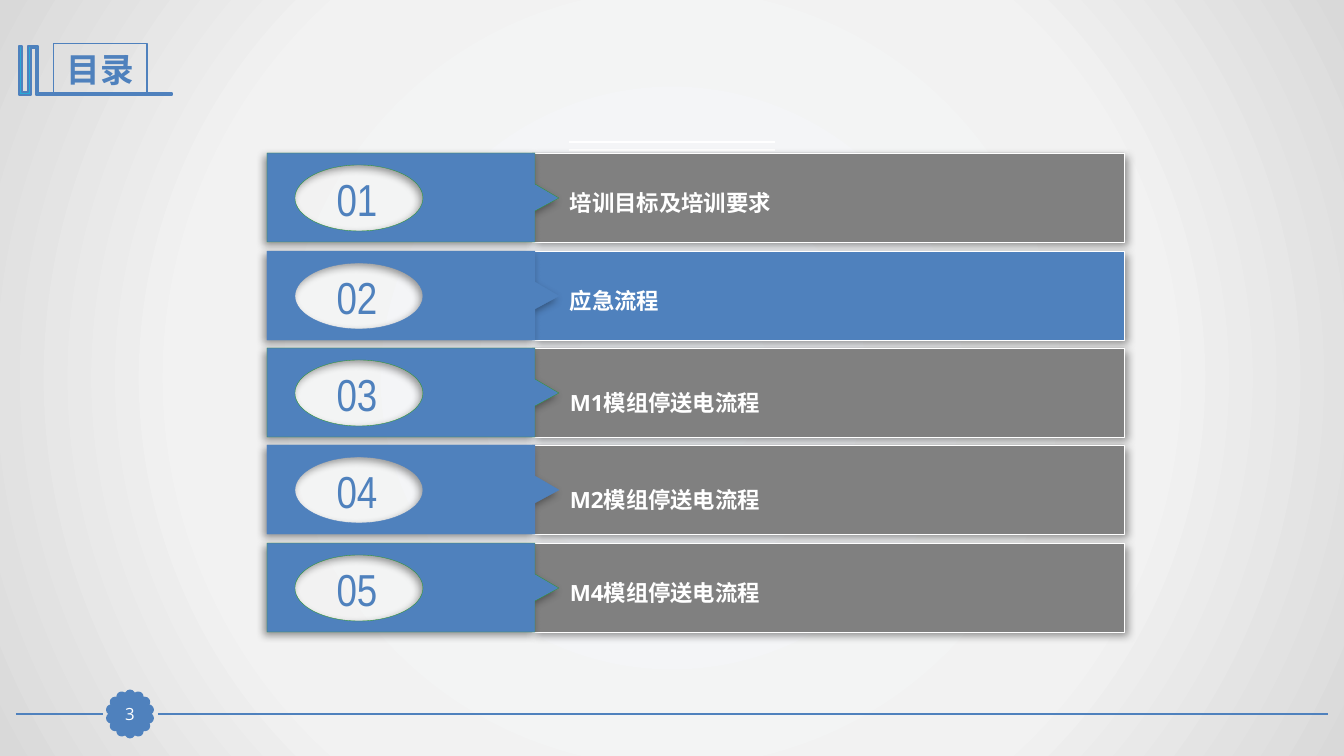
"""Build the contents slide with five numbered sections."""
from math import cos, pi, sin

from lxml import etree
from pptx import Presentation
from pptx.dml.color import RGBColor
from pptx.enum.shapes import MSO_CONNECTOR, MSO_SHAPE
from pptx.enum.text import MSO_ANCHOR, PP_ALIGN
from pptx.oxml import parse_xml
from pptx.oxml.ns import nsdecls, qn
from pptx.util import Emu, Pt

RECT, OVAL = MSO_SHAPE.RECTANGLE, MSO_SHAPE.OVAL
STRAIGHT = MSO_CONNECTOR.STRAIGHT
TOP, MIDDLE = MSO_ANCHOR.TOP, MSO_ANCHOR.MIDDLE
LEFT, CENTER = PP_ALIGN.LEFT, PP_ALIGN.CENTER
EMU_PER_PX = 914400 / 100.8
COLORS = {
    "blue": "4F81BD", "gray": "808080", "white": "FFFFFF",
    "green": "339933", "cyan": "28A9D6", "black": "000000",
    "glow": "F6F9FC", "mist": "F2F2F2", "edge": "D9D9D9",
}
NARROW, SANS = "Arial Narrow", "Open Sans"
SECTIONS = [
    ("01", "培训目标及培训要求", "gray", "green", 1.0),
    ("02", "应急流程", "blue", "blue", 1.0),
    ("03", "M1模组停送电流程", "gray", "green", 1.2),
    ("04", "M2模组停送电流程", "gray", "blue", 1.2),
    ("05", "M4模组停送电流程", "gray", "green", 1.0),
]


def px(value):
    """Turn pixels into EMU."""
    return Emu(round(value * EMU_PER_PX))


def rgb(name):
    """Look up a named colour."""
    return RGBColor.from_string(COLORS[name])


def paint(shape, fill, line, width):
    """Set fill and outline, and drop the inherited shadow."""
    shape.shadow.inherit = False
    if fill:
        shape.fill.solid()
        shape.fill.fore_color.rgb = rgb(fill)
    else:
        shape.fill.background()
    shape.line.color.rgb = rgb(line)
    shape.line.width = Pt(width)
    return shape


def add_preset(shapes, kind, box, fill, line, width):
    """Add a painted preset shape in a pixel box."""
    return paint(shapes.add_shape(kind, *map(px, box)), fill, line, width)


def add_outline(shapes, left, top, points, fill, line, width):
    """Add a painted closed freeform from points relative to a corner."""
    corners = [(px(left + x), px(top + y)) for x, y in points]
    builder = shapes.build_freeform(*corners[0])
    builder.add_line_segments(corners[1:], close=True)
    return paint(builder.convert_to_shape(), fill, line, width)


def cut_oval(shape, cx, cy, rx, ry):
    """Cut an oval hole of four Bezier arcs into a freeform."""
    outline = shape._element.find(".//" + qn("a:path"))
    k = 0.55

    def add_step(tag, points):
        """Append one drawing step in unit-circle coordinates."""
        step = etree.SubElement(outline, qn(tag))
        for x, y in points:
            etree.SubElement(step, qn("a:pt"), x=str(px(cx + rx * x)),
                             y=str(px(cy + ry * y)))

    add_step("a:moveTo", [(0, -1)])
    for x, y in ((0, -1), (-1, 0), (0, 1), (1, 0)):
        add_step("a:cubicBezTo", [(x + k * y, y - k * x),
                                  (y + k * x, -x + k * y), (y, -x)])
    add_step("a:close", [])


def add_rule(shapes, left, right, y, color, width):
    """Add a horizontal line without shadow."""
    rule = shapes.add_connector(STRAIGHT, px(left), px(y), px(right), px(y))
    rule.line.color.rgb = rgb(color)
    rule.line.width = Pt(width)
    etree.SubElement(rule._element.spPr, qn("a:effectLst"))


def cast_shadow(shape, degrees):
    """Give a shape a soft outer shadow in one direction."""
    effects = shape._element.spPr.find(qn("a:effectLst"))
    effects.append(parse_xml(
        f'<a:outerShdw {nsdecls("a")} blurRad="{Pt(6)}" dist="{Pt(3)}" '
        f'dir="{degrees * 60000}" algn="ctr" rotWithShape="0">'
        f'<a:srgbClr val="{COLORS["black"]}"><a:alpha val="40000"/></a:srgbClr>'
        '</a:outerShdw>'))


def write(shape, text, font, size, color, bold=False, align=CENTER,
          anchor=MIDDLE, spacing=None):
    """Write one paragraph with a single run."""
    frame = shape.text_frame
    frame.word_wrap = True
    frame.vertical_anchor = anchor
    paragraph = frame.paragraphs[0]
    paragraph.alignment = align
    paragraph.line_spacing = spacing
    run = paragraph.add_run()
    run.text = text
    run.font.name = font
    run.font.size = Pt(size)
    run.font.bold = bold
    run.font.color.rgb = rgb(color)
    return frame


def fill_background(slide):
    """Fill the slide with a circular gradient."""
    slide.background.fill.gradient()
    linear = slide.element.find(".//" + qn("a:gradFill"))
    stops = "".join(
        f'<a:gs pos="{percent * 1000}"><a:srgbClr val="{COLORS[name]}"/></a:gs>'
        for percent, name in ((0, "glow"), (63, "mist"), (100, "edge")))
    linear.getparent().replace(linear, parse_xml(
        f'<a:gradFill {nsdecls("a")} rotWithShape="1"><a:gsLst>{stops}</a:gsLst>'
        '<a:path path="circle"><a:fillToRect l="50000" t="50000" r="50000" '
        'b="50000"/></a:path></a:gradFill>'))


def add_heading(shapes, left, top):
    """Draw the bookmark outline and the framed heading."""
    bookmark = [(18, 0), (19, 0), (19, 47), (153, 47), (153, 49), (18, 49),
                (17, 49), (17, 2), (12, 2), (12, 49), (0, 49), (0, 0),
                (3, 0), (3, 46), (9, 46), (9, 0)]
    add_outline(shapes, left, top, bookmark, "cyan", "blue", 2)
    frame = add_preset(shapes, RECT, (left + 34, top - 2, 94, 50),
                       None, "blue", 0.75)
    write(frame, "目录", NARROW, 24, "blue", bold=True)


def add_footer(shapes, left, right, y, number):
    """Draw the footer rule and the scalloped page number."""
    center, petals, radius, petal = left + 114, 14, 19, 8
    add_rule(shapes, center + 28, right, y, "blue", 1.25)
    add_rule(shapes, left, center - 27, y, "blue", 1.25)
    seal = shapes.add_group_shape().shapes
    for index in range(petals):
        angle = 2 * pi * index / petals
        box = (center + radius * sin(angle) - petal / 2,
               y - radius * cos(angle) - petal / 2, petal, petal)
        add_preset(seal, OVAL, box, "blue", "blue", 2)
    page = add_preset(shapes, RECT, (center - 16, y - 16, 32, 32),
                      "blue", "blue", 0.75)
    frame = write(page, number, SANS, 12, "white")
    frame.margin_left = frame.margin_right = 0
    frame.margin_top = frame.margin_bottom = 0


def add_section(shapes, left, top, number, title, bar_color, edge, spacing):
    """Draw one section row: bar, pointed tag with oval hole, number, title."""
    row = shapes.add_group_shape().shapes
    bar = add_preset(row, RECT, (left + 265, top, 592, 89),
                     bar_color, "white", 0.25)
    cast_shadow(bar, 45)
    tag_points = [(0, 0), (268, 0), (268, 31), (292, 45), (268, 58),
                  (268, 89), (0, 89)]
    tag = add_outline(row, left, top, tag_points, "blue", edge, 0.25)
    cut_oval(tag, 92, 45, 64, 33)
    cast_shadow(tag, 135)
    number_box = row.add_textbox(*map(px, (left + 39, top + 13, 102, 65)))
    write(number_box, number, NARROW, 32, "blue")
    title_box = row.add_textbox(*map(px, (left + 293, top + 31, 565, 42)))
    write(title_box, title, SANS, 16, "white", bold=True,
          align=LEFT, anchor=TOP, spacing=spacing)


def add_contents(shapes, left, top):
    """Draw the twin rules and stack the section rows below them."""
    for offset in (11, 3):
        add_rule(shapes, left + 302, left + 508, top - offset, "white", 1.5)
    for index, section in enumerate(SECTIONS):
        add_section(shapes, left, top + round(97.5 * index), *section)


def main():
    """Assemble and save the slide."""
    deck = Presentation()
    deck.slide_width, deck.slide_height = px(1344), px(756)
    slide = deck.slides.add_slide(deck.slide_layouts[6])
    fill_background(slide)
    add_footer(slide.shapes, 16, 1328, 714, "3")
    add_heading(slide.shapes, 19, 46)
    add_contents(slide.shapes, 267, 153)
    deck.save("out.pptx")


main()
